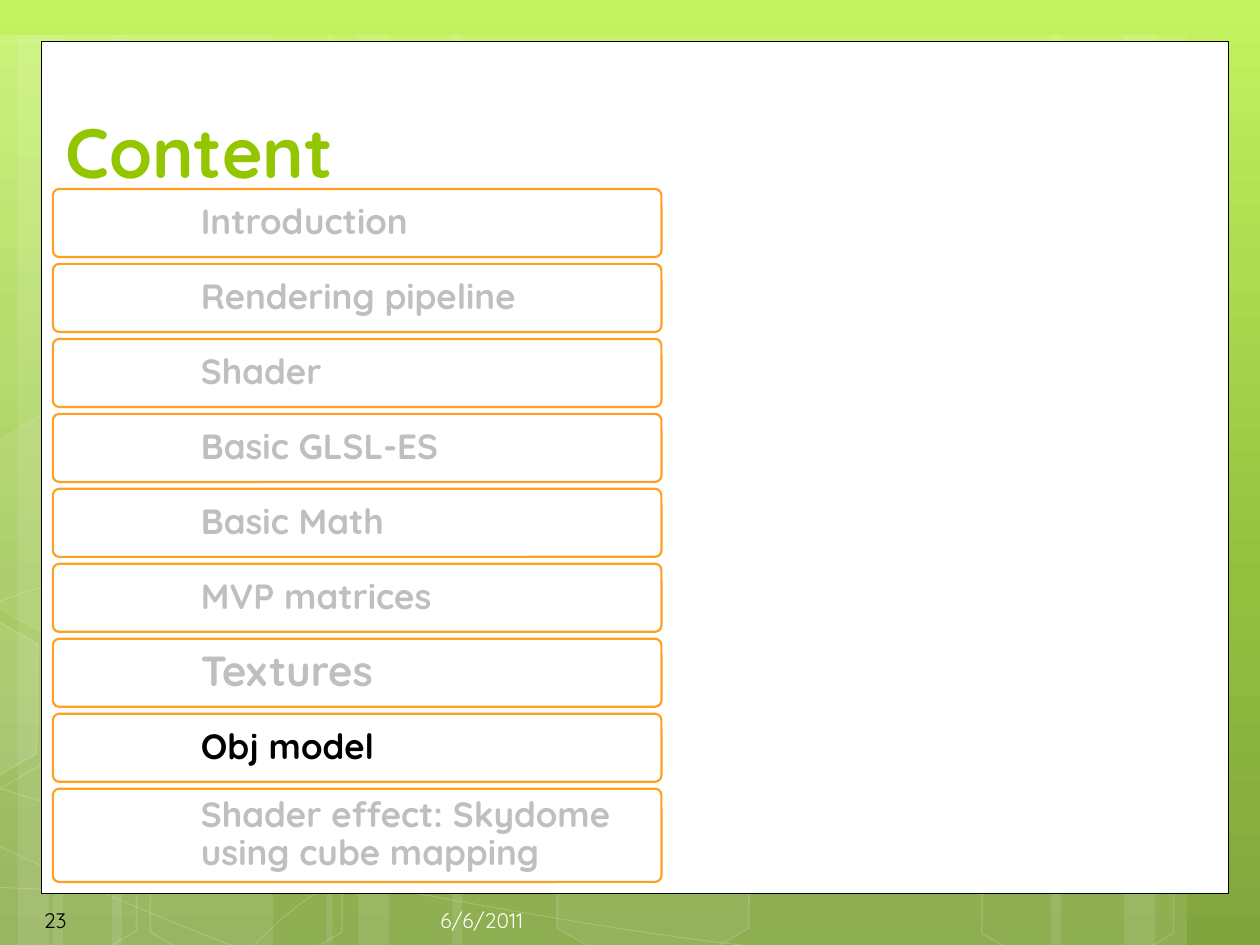
from copy import deepcopy
from typing import NamedTuple, Optional

from lxml.etree import SubElement
from pptx import Presentation
from pptx.dml.color import RGBColor
from pptx.enum.shapes import MSO_SHAPE as Preset
from pptx.enum.text import MSO_ANCHOR as Anchor, PP_ALIGN as Align
from pptx.oxml.ns import qn
from pptx.util import Inches, Pt

FONT = "Quicksand"
COLORS = {
    "white": "FFFFFF",
    "black": "000000",
    "title": "94C600",
    "date": "FEFEFE",
    "border": "FEA022",
    "muted": "BFBFBF",
    "sky": "C3F35F",
    "leaf": "93BF3F",
    "moss": "81A53E",
}


class Paint(NamedTuple):
    color: str
    alpha: int = 100


class Stroke(NamedTuple):
    paint: Paint
    width: float


class Box(NamedTuple):
    left: float
    top: float
    width: float
    height: float


class Label(NamedTuple):
    text: str
    size: int
    color: str
    bold: bool = False
    align: Align = Align.LEFT
    anchor: Anchor = Anchor.MIDDLE


class Topic(NamedTuple):
    text: str
    size: int = 20
    color: str = "muted"
    height: float = 0.54


class Hexagon(NamedTuple):
    left: float
    top: float
    fill: Optional[Paint] = None
    line_alpha: int = 12


BANDS = [
    (0.42, 1.75), (-0.33, 0.83), (0.89, 1.75), (-0.11, 0.5), (0.14, 0.83), (6.67, 1.75),
    (8.92, 0.5), (8.34, 0.83), (3.59, 3.08), (2.59, 0.5), (2.84, 0.83),
]
CURVES = [
    [(-0.59, 7.01), (-0.05, 7.04), (0.49, 7.08), (1.24, 7.06), (1.99, 7.05), (2.92, 7.03),
     (3.92, 6.93), (4.92, 6.83), (6.34, 6.64), (7.26, 6.45), (8.17, 6.26), (9.11, 5.96),
     (9.41, 5.79)],
    [(-0.59, 5.05), (-0.3, 4.9), (-0.01, 4.74), (0.55, 4.6), (1.12, 4.45), (1.93, 4.23),
     (2.81, 4.15), (3.7, 4.08), (4.78, 4.08), (5.88, 4.15), (6.98, 4.23), (8.81, 4.54),
     (9.41, 4.62)],
    [(-0.6, 6.45), (0.61, 7), (1.81, 7.55), (2.68, 7.78)],
    [(-0.59, 6.06), (-0.28, 6.17), (0.04, 6.28), (0.62, 6.44), (1.2, 6.6), (2.07, 6.84),
     (2.9, 7.01), (3.74, 7.18), (4.79, 7.36), (5.62, 7.47), (6.45, 7.57), (7.34, 7.61),
     (7.87, 7.65), (8.39, 7.68), (8.53, 7.66), (8.79, 7.66), (9.05, 7.66), (9.23, 7.64),
     (9.41, 7.62)],
    [(1.76, 7.78), (1.94, 7.58), (2.12, 7.38), (2.36, 7.19), (2.6, 7.01), (2.94, 6.81),
     (3.22, 6.67), (3.5, 6.54), (3.67, 6.48), (4.03, 6.37), (4.4, 6.27), (5.07, 6.13),
     (5.42, 6.06), (5.78, 6), (5.83, 6), (6.14, 5.97), (6.45, 5.95), (6.94, 5.92),
     (7.28, 5.91), (7.63, 5.9), (8.2, 5.91), (8.2, 5.91)],
]
CUT_HEXAGON = [(-0.58, 4.73), (-0.47, 4.67), (0.3, 5.11), (0.29, 5.98), (-0.46, 6.42),
               (-0.58, 6.36)]
HEXAGONS = [
    Hexagon(4.31, 6.17, Paint("white", 6)),
    Hexagon(-0.55, 6.19),
    Hexagon(-0.52, 3.4, Paint("white", 7), 8),
    Hexagon(1.08, 6.2),
    Hexagon(7.68, 6.21),
]
TOPICS = [
    Topic("Introduction"),
    Topic("Rendering pipeline"),
    Topic("Shader"),
    Topic("Basic GLSL-ES"),
    Topic("Basic Math"),
    Topic("MVP matrices"),
    Topic("Textures", size=24),
    Topic("Obj model", color="black"),
    Topic("Shader effect: Skydome using cube mapping", height=0.74),
]
LABELS = [
    (Box(0.42, 0.33, 9.25, 1.25), Label("Content", 40, "title", True, anchor=Anchor.BOTTOM)),
    (Box(0.25, 7.1, 1.46, 0.4), Label("23", 12, "black")),
    (Box(1.92, 7.1, 2.33, 0.4), Label("6/6/2011", 12, "date", align=Align.RIGHT)),
]


def rgb(name: str) -> RGBColor:
    return RGBColor.from_string(COLORS[name])


def apply_paint(fill, holder, paint: Optional[Paint]) -> None:
    if paint is None:
        fill.background()
        return
    fill.solid()
    fill.fore_color.rgb = rgb(paint.color)
    if paint.alpha < 100:
        color = holder.find(qn("a:solidFill"))[0]
        SubElement(color, qn("a:alpha")).set("val", str(paint.alpha * 1000))


def style(shape, fill: Optional[Paint], stroke: Optional[Stroke]) -> None:
    shape.shadow.inherit = False
    properties = shape._element.spPr
    apply_paint(shape.fill, properties, fill)
    line = shape.line
    if stroke:
        line.width = Pt(stroke.width)
    apply_paint(line.fill, properties.find(qn("a:ln")), stroke.paint if stroke else None)


def add_preset(page, preset, box: Box, fill=None, stroke=None):
    shape = page.shapes.add_shape(preset, *map(Inches, box))
    style(shape, fill, stroke)
    return shape


def add_outline(page, points, closed: bool, fill=None, stroke=None) -> None:
    places = [(Inches(x), Inches(y)) for x, y in points]
    builder = page.shapes.build_freeform(*places[0])
    builder.add_line_segments(places[1:], close=closed)
    style(builder.convert_to_shape(), fill, stroke)


def smooth_points(knots, steps: int = 12) -> list:
    points = [knots[0]]
    for start in range(0, len(knots) - 1, 3):
        segment = knots[start:start + 4]
        for step in range(1, steps + 1):
            t = step / steps
            weights = ((1 - t) ** 3, 3 * t * (1 - t) ** 2, 3 * t * t * (1 - t), t ** 3)
            points.append(tuple(sum(w * p[axis] for w, p in zip(weights, segment))
                                for axis in (0, 1)))
    return points


def write(shape, label: Label):
    frame = shape.text_frame
    frame.word_wrap = True
    frame.vertical_anchor = label.anchor
    frame.text = label.text
    para = frame.paragraphs[0]
    para.alignment = label.align
    font = para.runs[0].font
    font.name, font.size, font.bold = FONT, Pt(label.size), label.bold
    font.color.rgb = rgb(label.color)
    return frame


def paint_background(page) -> None:
    fill = page.background.fill
    fill.gradient()
    fill.gradient_angle = 270
    first = fill.gradient_stops[0]._gs
    first.addnext(deepcopy(first))
    for stop, (name, position) in zip(fill.gradient_stops,
                                      [("sky", 0), ("leaf", 0.62), ("moss", 1)]):
        stop.color.rgb = rgb(name)
        stop.position = position


def draw_backdrop(page) -> None:
    for left, width in BANDS:
        add_preset(page, Preset.RECTANGLE, Box(left, 0.28, width, 7.5), Paint("white", 10))
    for knots in CURVES:
        add_outline(page, smooth_points(knots), False, stroke=Stroke(Paint("white", 20), 0.5))
    add_outline(page, CUT_HEXAGON, True, Paint("white", 10), Stroke(Paint("white", 12), 1))
    for item in HEXAGONS:
        shape = add_preset(page, Preset.HEXAGON, Box(item.left, item.top, 1.75, 1.52),
                           item.fill, Stroke(Paint("white", item.line_alpha), 1))
        shape.adjustments[0] = 0.285
        shape.rotation = 30
    add_preset(page, Preset.RECTANGLE, Box(0.33, 0.33, 9.42, 6.76), Paint("white"),
               Stroke(Paint("black"), 0.5))


def draw_topics(page) -> None:
    for index, topic in enumerate(TOPICS):
        card = add_preset(page, Preset.ROUNDED_RECTANGLE,
                          Box(0.42, 1.5 + index * 0.595, 4.83, topic.height),
                          Paint("white"), Stroke(Paint("border"), 1.25))
        card.adjustments[0] = 0.05 / topic.height
        frame = write(card, Label(topic.text, topic.size, topic.color, True))
        frame.margin_left = Inches(1.16)
        frame.margin_top = frame.margin_right = frame.margin_bottom = Inches(0.05)
        frame.paragraphs[0].line_spacing = 0.9


def main() -> None:
    deck = Presentation()
    deck.slide_width, deck.slide_height = Inches(10), Inches(7.5)
    page = deck.slides.add_slide(deck.slide_layouts[6])
    paint_background(page)
    draw_backdrop(page)
    for box, label in LABELS:
        write(page.shapes.add_textbox(*map(Inches, box)), label)
    draw_topics(page)
    deck.save("out.pptx")


if __name__ == "__main__":
    main()
